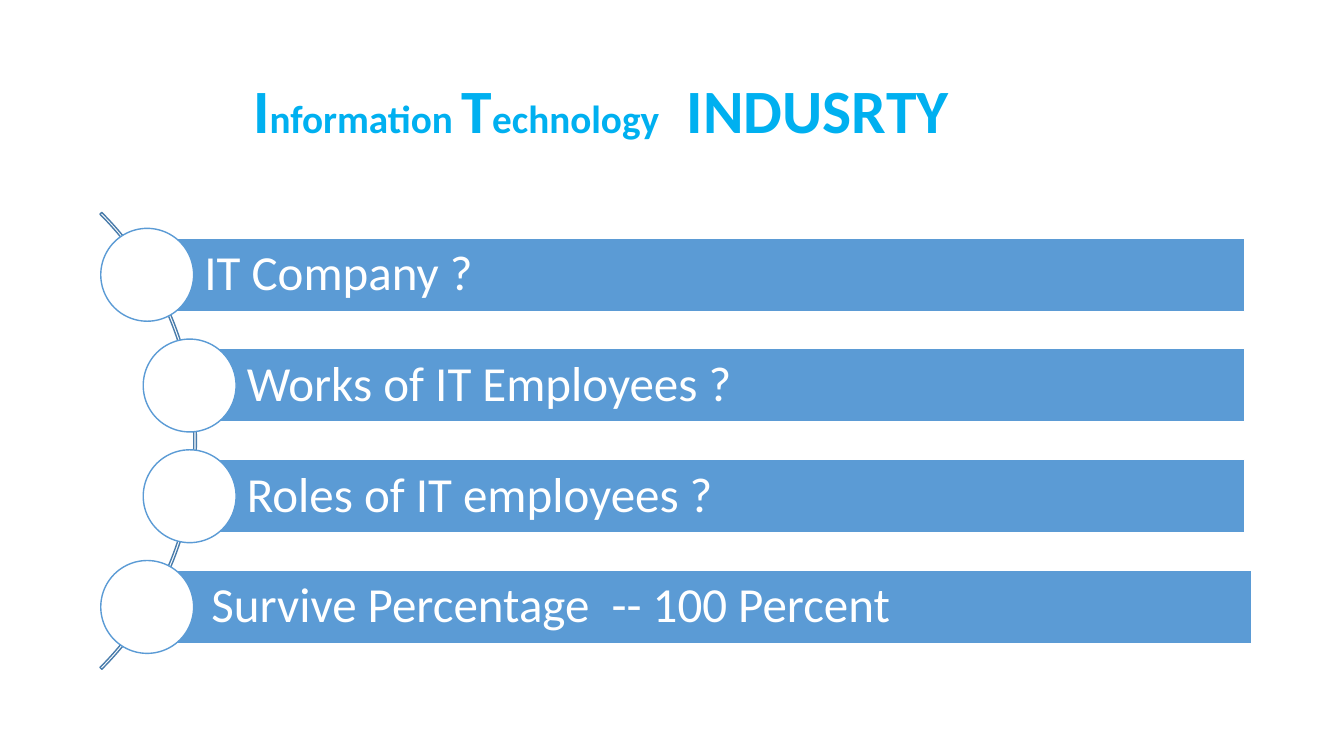
"""Build the IT industry agenda slide: four bars with circles along an arc."""
from pptx import Presentation
from pptx.dml.color import RGBColor
from pptx.enum import shapes, text
from pptx.util import Cm, Pt

SKY = RGBColor(0x00, 0xB0, 0xF0)
BLUE = RGBColor(0x5B, 0x9B, 0xD5)
ARC_BLUE = RGBColor(0x49, 0x7C, 0xAB)
WHITE = RGBColor(0xFF, 0xFF, 0xFF)


def add_shape(kind, left, top, width, height, fill, line):
    sp = s.shapes.add_shape(kind, Cm(left), Cm(top), Cm(width), Cm(height))
    sp.shadow.inherit = False
    sp.fill.solid()
    sp.fill.fore_color.rgb = fill
    sp.line.color.rgb = line
    sp.line.width = Pt(1)
    return sp


def add_run(p, wording, size, color, bold=False):
    r = p.add_run()
    r.text = wording
    r.font.name = "Calibri"
    r.font.size = Pt(size)
    r.font.bold = bold
    r.font.color.rgb = color


prs = Presentation()
prs.slide_width, prs.slide_height = Cm(33.87), Cm(19.05)
s = prs.slides.add_slide(prs.slide_layouts[6])

title = s.shapes.add_textbox(Cm(2.33), Cm(1.01), Cm(29.21), Cm(3.68))
tf = title.text_frame
tf.word_wrap = True
tf.vertical_anchor = text.MSO_ANCHOR.MIDDLE
tf.margin_left = Cm(4.05)
p = tf.paragraphs[0]
p.line_spacing = 0.9
for wording, size in [("I", 44), ("nformation ", 28), ("T", 44),
                      ("echnology", 28), ("  INDUSRTY", 44)]:
    add_run(p, wording, size, SKY, bold=True)

arc = add_shape(shapes.MSO_SHAPE.BLOCK_ARC, -11.33, 2.97, 16.28, 16.28,
                WHITE, ARC_BLUE)
arc.adjustments[0] = 189
arc.adjustments[1] = 27
arc.adjustments[2] = 0.004

BAR_TOP, PITCH, BAR_HEIGHT, CIRCLE = 6, 2.79, 1.85, 2.34
rows = [
    ("IT Company ?", 2.54, 3.68, 31.37),
    ("Works of IT Employees ?", 3.61, 4.75, 31.37),
    ("Roles of IT employees ?", 3.61, 4.75, 31.37),
    ("Survive Percentage  -- 100 Percent", 2.54, 3.86, 31.55),
]
for i, (wording, circle_left, bar_left, bar_right) in enumerate(rows):
    top = BAR_TOP + i * PITCH
    bar = add_shape(shapes.MSO_SHAPE.RECTANGLE, bar_left, top,
                    bar_right - bar_left, BAR_HEIGHT, BLUE, WHITE)
    tf = bar.text_frame
    tf.margin_left = Cm(1.47)
    tf.margin_right = tf.margin_top = tf.margin_bottom = Cm(0.25)
    tf.vertical_anchor = text.MSO_ANCHOR.MIDDLE
    p = tf.paragraphs[0]
    p.alignment = text.PP_ALIGN.LEFT
    p.line_spacing = 0.9
    add_run(p, wording, 35, WHITE)
    add_shape(shapes.MSO_SHAPE.OVAL, circle_left,
              top - (CIRCLE - BAR_HEIGHT) / 2, CIRCLE, CIRCLE, WHITE, BLUE)

prs.save("out.pptx")
